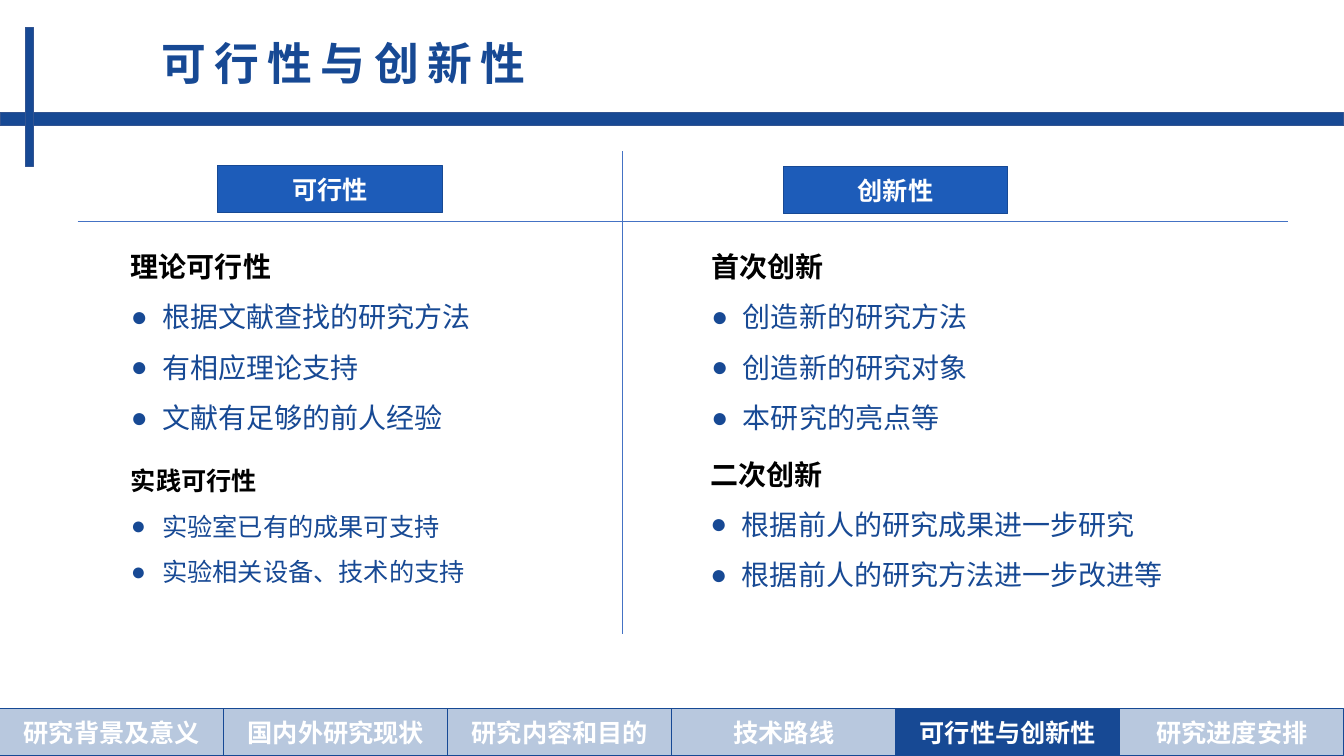
from dataclasses import dataclass

from pptx import Presentation
from pptx.dml.color import RGBColor
from pptx.enum.shapes import MSO_CONNECTOR, MSO_SHAPE
from pptx.enum.text import MSO_ANCHOR, MSO_AUTO_SIZE, PP_ALIGN
from pptx.oxml.ns import qn
from pptx.util import Pt
from lxml.etree import SubElement


@dataclass(frozen=True)
class Theme:
    navy: str = "174994"
    blue: str = "1D5CB9"
    edge: str = "325491"
    rule: str = "4472C4"
    white: str = "FFFFFF"
    black: str = "000000"
    text_font: str = "Arial"
    label_font: str = "Noto Sans CJK SC"
    title_size: int = 32
    body_size: int = 20
    label_size: int = 18
    title_tracking: int = 6
    faded: int = 30


THEME = Theme()
WIDTH, HEIGHT = 960, 540
SECTIONS = ["研究背景及意义", "国内外研究现状", "研究内容和目的",
            "技术路线", "可行性与创新性", "研究进度安排"]
CURRENT = "可行性与创新性"
TOPICS = [
    ((86.4, 162.7, 298.8, 148.3), THEME.body_size, "理论可行性",
     ["根据文献查找的研究方法", "有相应理论支持", "文献有足够的前人经验"]),
    ((86.4, 318.2, 288, 101.5), THEME.label_size, "实践可行性",
     ["实验室已有的成果可支持", "实验相关设备、技术的支持"]),
    ((501.1, 162.7, 298.8, 148.3), THEME.body_size, "首次创新",
     ["创造新的研究方法", "创造新的研究对象", "本研究的亮点等"]),
    ((500.4, 311, 362.9, 112.3), THEME.body_size, "二次创新",
     ["根据前人的研究成果进一步研究", "根据前人的研究方法进一步改进等"]),
]


def points(box):
    return [Pt(value) for value in box]


def style_run(run, font, size, color, bold):
    run.font.name = font
    run.font.size = Pt(size)
    run.font.bold = bold
    run.font.color.rgb = RGBColor.from_string(color)
    properties = run.font._element
    properties.set("lang", "zh-CN")
    SubElement(properties, qn("a:ea"), typeface=font)


def add_block(page, box, fill, edge, label=None, opacity=100):
    block = page.shapes.add_shape(MSO_SHAPE.RECTANGLE, *points(box))
    block.shadow.inherit = False
    block.fill.solid()
    block.fill.fore_color.rgb = RGBColor.from_string(fill)
    block.line.color.rgb = RGBColor.from_string(edge)
    block.line.width = Pt(0)
    if opacity < 100:
        color = block.fill._xPr.find(qn("a:solidFill"))[0]
        SubElement(color, qn("a:alpha"), val=str(opacity * 1000))
    if label:
        block.text_frame.text = label
        block.text_frame.vertical_anchor = MSO_ANCHOR.MIDDLE
        para = block.text_frame.paragraphs[0]
        para.alignment = PP_ALIGN.CENTER
        style_run(para.runs[0], THEME.label_font, THEME.label_size, THEME.white, True)


def add_rule(page, start, end):
    rule = page.shapes.add_connector(MSO_CONNECTOR.STRAIGHT, *points(start + end))
    rule.line.color.rgb = RGBColor.from_string(THEME.rule)
    rule.line.width = Pt(0.5)
    SubElement(rule._element.spPr, qn("a:effectLst"))


def add_header(page, box):
    left, top, width, height = box
    add_block(page, (left, top + 80.6, width, 9.4), THEME.navy, THEME.edge)
    add_block(page, (left + 18, top + 19.4, 5.8, 99.4), THEME.navy, THEME.edge)
    title = page.shapes.title
    title.left, title.top, title.width, title.height = points(
        (left + 87.1, top + 35.3, 379.4, 28.8))
    frame = title.text_frame
    frame.text = CURRENT
    frame.word_wrap = False
    frame.auto_size = MSO_AUTO_SIZE.NONE
    frame.vertical_anchor = MSO_ANCHOR.BOTTOM
    frame.margin_left = Pt(28)
    frame.margin_top = frame.margin_right = frame.margin_bottom = 0
    para = frame.paragraphs[0]
    para.alignment = PP_ALIGN.LEFT
    style_run(para.runs[0], THEME.text_font, THEME.title_size, THEME.navy, True)
    para.runs[0].font._element.set("spc", str(THEME.title_tracking * 100))


def add_navigation(page, box):
    left, top, width, height = box
    step = width / len(SECTIONS)
    for index, section in enumerate(SECTIONS):
        opacity = 100 if section == CURRENT else THEME.faded
        add_block(page, (left + index * step, top, step, height),
                  THEME.navy, THEME.navy, section, opacity)


def add_columns(page, box):
    left, top, width, height = box
    add_rule(page, (left, top + 50.4), (left + width, top + 50.4))
    add_rule(page, (left + 388.8, top), (left + 388.8, top + height))
    for label, x, y in [("可行性", 100.1, 10.1), ("创新性", 504, 10.8)]:
        add_block(page, (left + x, top + y, 160.6, 33.8), THEME.blue, THEME.navy, label)


def add_topic(page, box, size, heading, items):
    frame = page.shapes.add_textbox(*points(box)).text_frame
    frame.word_wrap = True
    frame.auto_size = MSO_AUTO_SIZE.SHAPE_TO_FIT_TEXT
    frame.text = "\n".join([heading] + items)
    for index, para in enumerate(frame.paragraphs):
        para.line_spacing = 1.5
        if index:
            properties = para._p.get_or_add_pPr()
            properties.set("marL", str(Pt(22.5)))
            properties.set("indent", str(-Pt(22.5)))
            SubElement(properties, qn("a:buFont"), typeface=THEME.text_font)
            SubElement(properties, qn("a:buChar"), char="●")
        color = THEME.navy if index else THEME.black
        style_run(para.runs[0], THEME.text_font, size, color, index == 0)


def main():
    deck = Presentation()
    deck.slide_width, deck.slide_height = Pt(WIDTH), Pt(HEIGHT)
    page = deck.slides.add_slide(deck.slide_layouts[5])
    add_header(page, (0, 0, WIDTH, 119))
    add_navigation(page, (0, 506.2, WIDTH, 33.8))
    add_columns(page, (55.4, 108, 864.7, 344.9))
    for topic in TOPICS:
        add_topic(page, *topic)
    deck.save("out.pptx")


if __name__ == "__main__":
    main()
